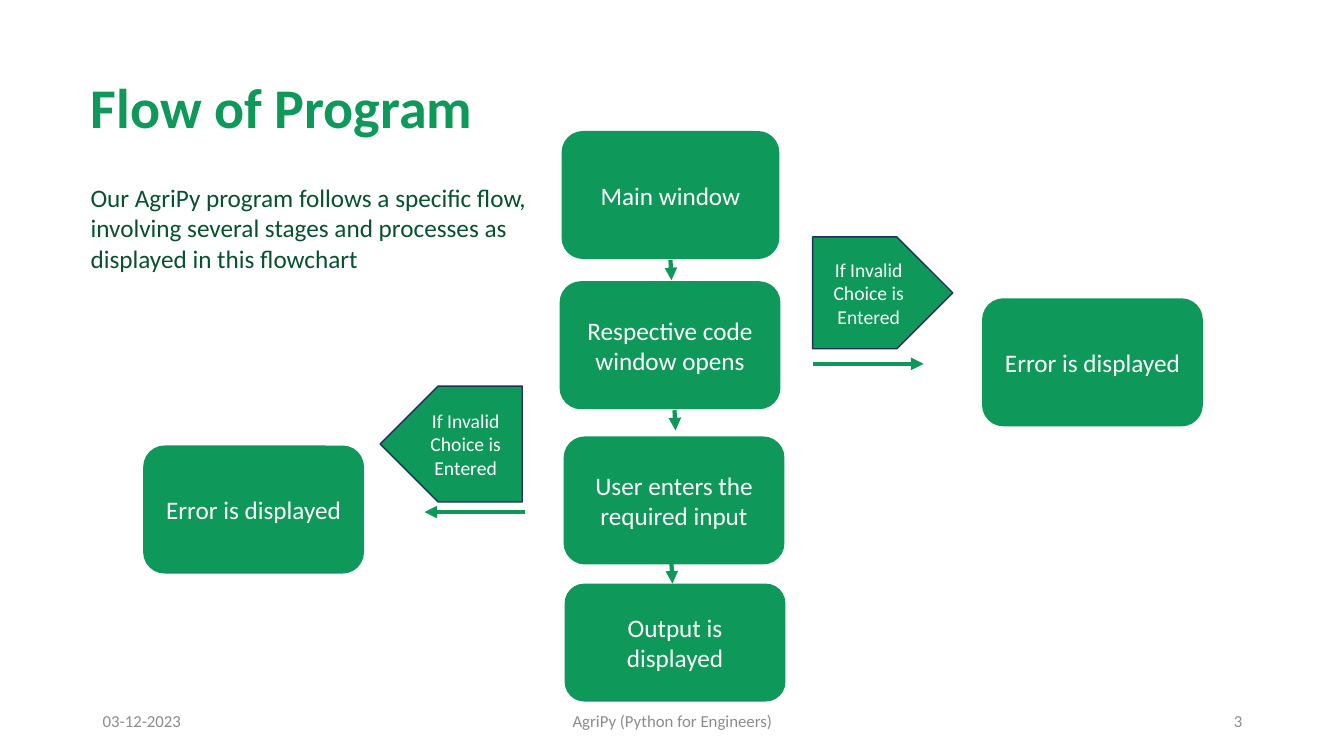
from lxml import etree
from pptx import Presentation, util as u
from pptx.dml import color
from pptx.enum import shapes, text
from pptx.oxml import ns

ALIGN = text.PP_ALIGN
ANCHOR = text.MSO_ANCHOR
KIND = shapes.MSO_SHAPE


def paint(code):
    return color.RGBColor.from_string(code)


class Deck:
    cols, rows = 133.3, 75
    green, dark, navy, grey, white = "0E9859", "07512F", "1E3256", "8C8C8C", "FFFFFF"
    face = "Calibri"

    def __init__(self):
        self.show = Presentation()
        self.show.slide_width = u.Inches(13.33)
        self.show.slide_height = u.Inches(7.5)
        self.page = self.show.slides.add_slide(self.show.slide_layouts[5])

    def x(self, col):
        return round(self.show.slide_width * col / self.cols)

    def y(self, row):
        return round(self.show.slide_height * row / self.rows)

    def spot(self, left, top, wide, high):
        return self.x(left), self.y(top), self.x(wide), self.y(high)

    def fit(self, item, words, size, tint, align=ALIGN.LEFT, anchor=ANCHOR.TOP, bold=False):
        frame = item.text_frame
        frame.text = words
        line = frame.paragraphs[0]
        line.alignment = align
        form = {"word_wrap": True, "vertical_anchor": anchor, "auto_size": text.MSO_AUTO_SIZE.NONE}
        for key, val in form.items():
            setattr(frame, key, val)
        font = line.runs[0].font
        for key, val in {"name": self.face, "size": u.Pt(size), "bold": bold}.items():
            setattr(font, key, val)
        font.color.rgb = paint(tint)

    def title(self, words, *area):
        item = self.page.shapes.title
        for key, val in zip(("left", "top", "width", "height"), self.spot(*area)):
            setattr(item, key, val)
        self.fit(item, words, 40, self.green, bold=True)

    def label(self, words, area, size, tint, **form):
        self.fit(self.page.shapes.add_textbox(*self.spot(*area)), words, size, tint, **form)

    def block(self, kind, words, area, size):
        item = self.page.shapes.add_shape(kind, *self.spot(*area))
        item.shadow.inherit = False
        item.fill.solid()
        item.fill.fore_color.rgb = paint(self.green)
        item.line.fill.background()
        self.fit(item, words, size, self.white, ALIGN.CENTER, ANCHOR.MIDDLE)
        return item

    def step(self, words, left, top, wide=21.9, high=12.7):
        self.block(KIND.ROUNDED_RECTANGLE, words, (left, top, wide, high), 18)

    def flag(self, words, area, flip=False):
        item = self.block(KIND.PENTAGON, words, area, 14)
        item.line.color.rgb = paint(self.navy)
        item.line.width = u.Pt(1)
        if flip:
            item.element.spPr.xfrm.set("flipH", "1")

    def arrow(self, left, top, right, low):
        item = self.page.shapes.add_connector(
            shapes.MSO_CONNECTOR.STRAIGHT, self.x(left), self.y(top), self.x(right), self.y(low))
        item.line.color.rgb = paint(self.green)
        item.line.width = u.Pt(3)
        props = item.element.spPr
        etree.SubElement(props.find(ns.qn("a:ln")), ns.qn("a:tailEnd"), type="triangle")
        etree.SubElement(props, ns.qn("a:effectLst"))

    def save(self):
        self.show.save("out.pptx")


def main():
    deck = Deck()
    deck.title("Flow of Program", 8, 6.7, 112.6, 7.7)
    deck.label("Our AgriPy program follows a specific flow, involving several stages "
               "and processes as displayed in this flowchart",
               (8, 17.6, 47.7, 10.1), 18, deck.dark)

    deck.step("Main window", 55.7, 13, wide=21.6)
    deck.step("Respective code window opens", 55.5, 27.9)
    deck.step("User enters the required input", 55.9, 43.3)
    deck.step("Output is displayed", 56, 57.9, high=11.7)
    for left, top in ((14.2, 44.2), (97.4, 29.6)):
        deck.step("Error is displayed", left, top)

    for left, top in ((66.5, 25.8), (66.9, 40.7), (66.6, 55.9)):
        deck.arrow(left, top, left + 0.1, top + 2)
    deck.arrow(80.6, 36.1, 91.6, 36.1)
    deck.arrow(52.1, 50.8, 42.1, 50.8)

    choice = "If Invalid Choice is Entered"
    deck.flag(choice, (80.6, 23.5, 13.9, 11.1))
    deck.flag(choice, (37.7, 38.3, 14.1, 11.5), flip=True)

    for words, left, wide, align in (
            ("03-12-2023", 9.2, 30, ALIGN.LEFT),
            ("AgriPy (Python for Engineers)", 44.2, 45, ALIGN.CENTER),
            ("3", 94.2, 30, ALIGN.RIGHT)):
        deck.label(words, (left, 69.5, wide, 4), 12, deck.grey, align=align, anchor=ANCHOR.MIDDLE)
    deck.save()


if __name__ == "__main__":
    main()
